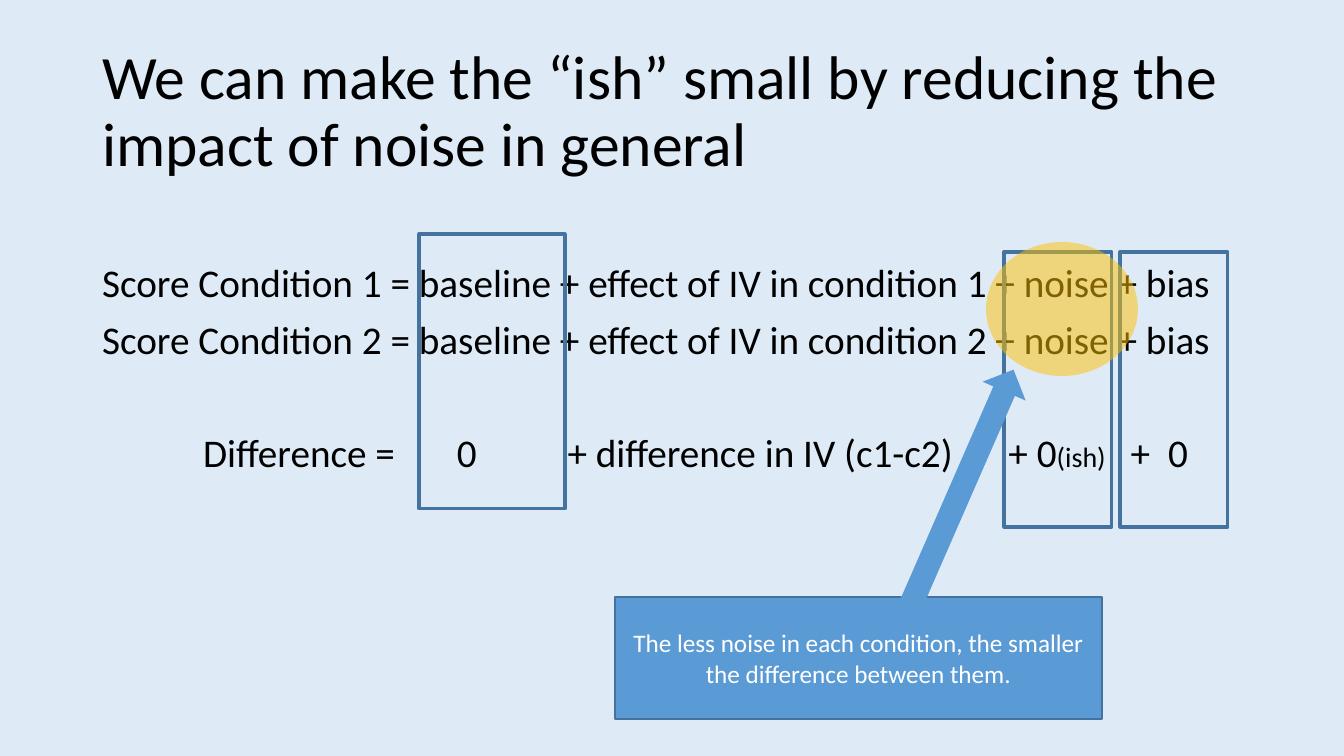
from dataclasses import dataclass

from lxml.etree import SubElement
from pptx import Presentation
from pptx.dml.color import RGBColor
from pptx.enum.shapes import MSO_SHAPE
from pptx.enum.text import MSO_ANCHOR, MSO_AUTO_SIZE, PP_ALIGN
from pptx.oxml.ns import qn
from pptx.shapes.autoshape import Shape
from pptx.slide import Slide
from pptx.text.text import _Paragraph, _Run
from pptx.util import Emu, Pt

PX_PER_INCH = 100.8
PX_PER_PT = PX_PER_INCH / 72
SPACE_WIDTH_EM = 0.23


def px(length: int) -> Emu:
    return Emu(round(length * 914400 / PX_PER_INCH))


@dataclass(frozen=True)
class Theme:
    font: str = "Calibri"
    background: str = "DEEBF7"
    ink: str = "000000"
    accent: str = "5B9BD5"
    outline: str = "43739E"
    highlight: str = "FFC000"
    on_accent: str = "FFFFFF"
    title_size: int = 44
    body_size: int = 28
    callout_size: int = 18
    aside_size: int = 20


THEME = Theme()


@dataclass(frozen=True)
class Box:
    left: int
    top: int
    width: int
    height: int


@dataclass(frozen=True)
class Figure:
    kind: MSO_SHAPE
    box: Box
    fill: str | None = None
    line: str | None = None
    line_width: float = 1
    opacity: int = 100
    rotation: float = 0


@dataclass(frozen=True)
class Term:
    """A piece of an equation and the gap, in px, that follows it."""
    text: str
    gap: int = 0
    size: int = THEME.body_size


@dataclass(frozen=True)
class Equation:
    terms: tuple[Term, ...]
    space_before: int = 10
    indent: int = 0


TITLE = "We can make the “ish” small by reducing the impact of noise in general"
TITLE_BOX = Box(92, 40, 1159, 146)
EQUATIONS_BOX = Box(92, 198, 1159, 340)
EQUATIONS_TOP_INSET = 66
EQUATIONS = (
    *(
        Equation((Term(f"Score Condition {n} = baseline + effect of IV in "
                       f"condition {n} + noise + bias"),))
        for n in (1, 2)
    ),
    Equation(
        (
            Term("Difference =", gap=62),
            Term("0", gap=91),
            Term("+ difference in IV (c1-c2)", gap=56),
            Term("+ 0"),
            Term("(ish)", gap=25, size=THEME.aside_size),
            Term("+", gap=18),
            Term("0"),
        ),
        space_before=51,
        indent=101,
    ),
)
TERM_FRAMES = tuple(
    Figure(MSO_SHAPE.RECTANGLE, box, line=THEME.outline, line_width=2.25)
    for box in (
        Box(1120, 252, 108, 275),
        Box(1004, 252, 108, 275),
        Box(419, 234, 146, 275),
    )
)
NOISE_HIGHLIGHT = Figure(MSO_SHAPE.OVAL, Box(986, 242, 152, 134),
                         fill=THEME.highlight, opacity=50)
CALLOUT = Figure(MSO_SHAPE.RECTANGLE, Box(615, 597, 487, 122),
                 fill=THEME.accent, line=THEME.outline)
CALLOUT_TEXT = ("The less noise in each condition, the smaller "
                "the difference between them.")
CALLOUT_ARROW = Figure(MSO_SHAPE.UP_ARROW, Box(939, 359, 47, 255),
                       fill=THEME.accent, rotation=23.6)


def place(shape: Shape, box: Box) -> None:
    shape.left, shape.top = px(box.left), px(box.top)
    shape.width, shape.height = px(box.width), px(box.height)


def add_run(paragraph: _Paragraph, text: str, size: int, color: str) -> _Run:
    run = paragraph.add_run()
    run.text = text
    run.font.name = THEME.font
    run.font.size = Pt(size)
    run.font.color.rgb = RGBColor.from_string(color)
    return run


def add_gap(paragraph: _Paragraph, width: int, size: int) -> None:
    """Add one space, widened by letter spacing to the given px."""
    space = add_run(paragraph, " ", size, THEME.ink)
    extra = width / PX_PER_PT - size * SPACE_WIDTH_EM
    space.font._element.set("spc", str(round(extra * 100)))


def add_figure(slide: Slide, figure: Figure) -> Shape:
    box = figure.box
    shape = slide.shapes.add_shape(
        figure.kind, px(box.left), px(box.top), px(box.width), px(box.height))
    shape.shadow.inherit = False
    shape.rotation = figure.rotation
    if figure.fill:
        shape.fill.solid()
        shape.fill.fore_color.rgb = RGBColor.from_string(figure.fill)
        if figure.opacity < 100:
            color = shape.fill._xPr.find(qn("a:solidFill"))[0]
            SubElement(color, qn("a:alpha"), val=str(figure.opacity * 1000))
    else:
        shape.fill.background()
    if figure.line:
        shape.line.color.rgb = RGBColor.from_string(figure.line)
        shape.line.width = Pt(figure.line_width)
    else:
        shape.line.fill.background()
    return shape


def indent_without_bullet(paragraph: _Paragraph, indent: int) -> None:
    properties = paragraph._p.get_or_add_pPr()
    properties.set("marL", str(px(indent)))
    properties.set("indent", "0")
    SubElement(properties, qn("a:buNone"))


def fill_title(slide: Slide) -> None:
    title = slide.shapes.title
    place(title, TITLE_BOX)
    frame = title.text_frame
    frame.auto_size = MSO_AUTO_SIZE.NONE
    frame.vertical_anchor = MSO_ANCHOR.MIDDLE
    heading = frame.paragraphs[0]
    heading.alignment = PP_ALIGN.LEFT
    heading.line_spacing = 0.9
    add_run(heading, TITLE, THEME.title_size, THEME.ink)


def fill_equations(slide: Slide) -> None:
    body = slide.placeholders[1]
    place(body, EQUATIONS_BOX)
    frame = body.text_frame
    frame.auto_size = MSO_AUTO_SIZE.NONE
    frame.margin_top = px(EQUATIONS_TOP_INSET)
    for index, equation in enumerate(EQUATIONS):
        line = frame.add_paragraph() if index else frame.paragraphs[0]
        line.line_spacing = 0.9
        line.space_before = Pt(equation.space_before)
        indent_without_bullet(line, equation.indent)
        for term in equation.terms:
            add_run(line, term.text, term.size, THEME.ink)
            if term.gap:
                add_gap(line, term.gap, term.size)


def add_callout(slide: Slide) -> None:
    frame = add_figure(slide, CALLOUT).text_frame
    frame.word_wrap = True
    frame.vertical_anchor = MSO_ANCHOR.MIDDLE
    message = frame.paragraphs[0]
    message.alignment = PP_ALIGN.CENTER
    add_run(message, CALLOUT_TEXT, THEME.callout_size, THEME.on_accent)


def main() -> None:
    deck = Presentation()
    deck.slide_width, deck.slide_height = px(1344), px(756)
    slide = deck.slides.add_slide(deck.slide_layouts[1])
    slide.background.fill.solid()
    slide.background.fill.fore_color.rgb = RGBColor.from_string(THEME.background)
    fill_title(slide)
    fill_equations(slide)
    for figure in (*TERM_FRAMES, NOISE_HIGHLIGHT):
        add_figure(slide, figure)
    add_callout(slide)
    add_figure(slide, CALLOUT_ARROW)
    deck.save("out.pptx")


if __name__ == "__main__":
    main()
